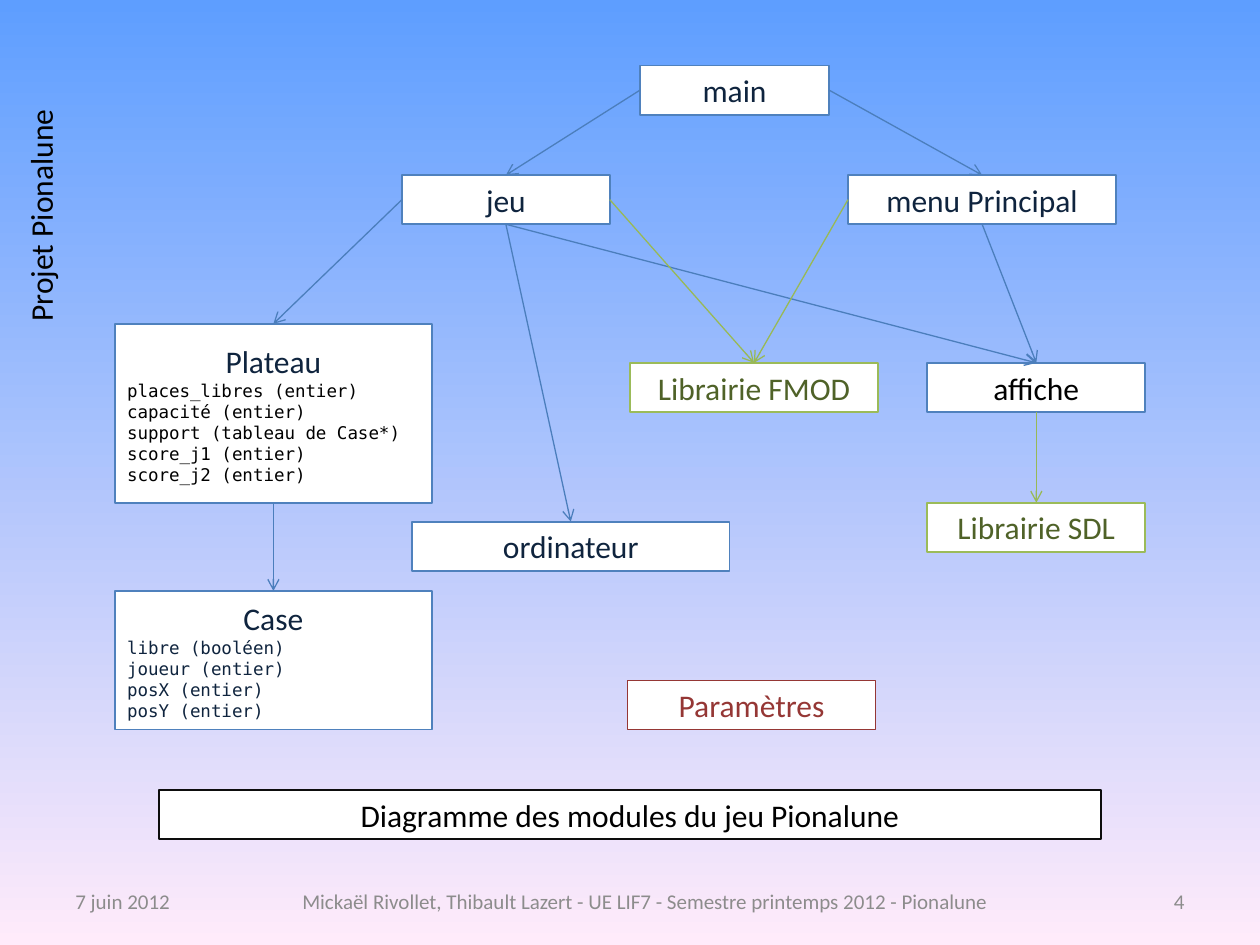
import pptx
import pptx.util
import pptx.dml.color
import pptx.enum.shapes
import pptx.enum.text
import pptx.oxml.ns
import lxml.etree

Inches, Pt = pptx.util.Inches, pptx.util.Pt
RGBColor = pptx.dml.color.RGBColor
PP_ALIGN, MSO_ANCHOR = pptx.enum.text.PP_ALIGN, pptx.enum.text.MSO_ANCHOR
qn = pptx.oxml.ns.qn

SKY = RGBColor(0x5E, 0x9E, 0xFF)
ROSE = RGBColor(0xFF, 0xEB, 0xFA)
WHITE = RGBColor(0xFF, 0xFF, 0xFF)
BLACK = RGBColor(0x00, 0x00, 0x00)
NEAR_BLACK = RGBColor(0x0D, 0x0D, 0x0D)
NAVY = RGBColor(0x0F, 0x24, 0x3E)
BLUE = RGBColor(0x4F, 0x81, 0xBD)
GREEN = RGBColor(0x9B, 0xBB, 0x59)
DARK_GREEN = RGBColor(0x4F, 0x62, 0x28)
RED = RGBColor(0x95, 0x37, 0x35)
CALL_BLUE = RGBColor(0x4B, 0x7E, 0xBC)
LIBRARY_GREEN = RGBColor(0x98, 0xB9, 0x55)
GREY = RGBColor(0x8C, 0x8C, 0x8C)

ROW = 0.39
TOP, LEFT, BOTTOM, RIGHT = range(4)

CAPTION = "Diagramme des modules du jeu Pionalune"
PROJECT = "Projet Pionalune"

MODULES = [
    ("main", 5.08, 0.52, 1.5, ROW, BLUE, NAVY),
    ("menu Principal", 6.73, 1.39, 2.13, ROW, BLUE, NAVY),
    ("jeu", 3.19, 1.39, 1.65, ROW, BLUE, NAVY),
    ("Plateau", 0.91, 2.57, 2.52, 1.42, BLUE, NAVY),
    ("Case", 0.91, 4.69, 2.52, 1.1, BLUE, NAVY),
    ("ordinateur", 3.27, 4.14, 2.52, ROW, BLUE, NAVY),
    ("affiche", 7.36, 2.88, 1.73, ROW, BLUE, BLACK),
    ("Librairie SDL", 7.36, 3.99, 1.73, ROW, GREEN, DARK_GREEN),
    ("Librairie FMOD", 5, 2.88, 1.97, ROW, GREEN, DARK_GREEN),
    ("Paramètres", 4.98, 5.4, 1.97, ROW, RED, RED),
]

FIELDS = {
    "Plateau": (BLACK, [
        "places_libres (entier)",
        "capacité (entier)",
        "support (tableau de Case*)",
        "score_j1 (entier)",
        "score_j2 (entier)",
    ]),
    "Case": (NAVY, [
        "libre (booléen)",
        "joueur (entier)",
        "posX (entier)",
        "posY (entier)",
    ]),
}

CALLS = [
    ("affiche", BOTTOM, "Librairie SDL", LIBRARY_GREEN),
    ("menu Principal", BOTTOM, "affiche", CALL_BLUE),
    ("jeu", BOTTOM, "affiche", CALL_BLUE),
    ("menu Principal", LEFT, "Librairie FMOD", LIBRARY_GREEN),
    ("jeu", RIGHT, "Librairie FMOD", LIBRARY_GREEN),
    ("jeu", LEFT, "Plateau", CALL_BLUE),
    ("Plateau", BOTTOM, "Case", CALL_BLUE),
    ("jeu", BOTTOM, "ordinateur", CALL_BLUE),
    ("main", LEFT, "jeu", CALL_BLUE),
    ("main", RIGHT, "menu Principal", CALL_BLUE),
]

FOOTER = [
    ("7 juin 2012", 0.5, 1.27, PP_ALIGN.LEFT),
    ("Mickaël Rivollet, Thibault Lazert - UE LIF7 - Semestre printemps 2012 - Pionalune",
     2.01, 6.22, PP_ALIGN.CENTER),
    ("4", 8.86, 0.64, PP_ALIGN.RIGHT),
]


def write(paragraph, text, size, color, align, font="Calibri"):
    paragraph.text = text
    paragraph.alignment = align
    for run in paragraph.runs:
        run.font.name = font
        run.font.size = Pt(size)
        run.font.color.rgb = color


def frame_box(box, border):
    box.fill.solid()
    box.fill.fore_color.rgb = WHITE
    box.line.color.rgb = border
    box.line.width = Pt(1)
    box.text_frame.vertical_anchor = MSO_ANCHOR.MIDDLE
    box.text_frame.word_wrap = True


def add_module(slide, name, left, top, width, height, border, color):
    box = slide.shapes.add_shape(
        pptx.enum.shapes.MSO_SHAPE.RECTANGLE,
        Inches(left), Inches(top), Inches(width), Inches(height))
    box.shadow.inherit = False
    frame_box(box, border)
    write(box.text_frame.paragraphs[0], name, 18, color, PP_ALIGN.CENTER)
    field_color, fields = FIELDS.get(name, (color, []))
    for field in fields:
        write(box.text_frame.add_paragraph(), field, 10, field_color,
              PP_ALIGN.LEFT, "DejaVu Sans Mono")
    return box


def add_call(slide, caller, side, called, color):
    arrow = slide.shapes.add_connector(
        pptx.enum.shapes.MSO_CONNECTOR.STRAIGHT, 0, 0, 0, 0)
    arrow.begin_connect(called, TOP)
    arrow.end_connect(caller, side)
    arrow.line.color.rgb = color
    arrow.line.width = Pt(0.75)
    properties = arrow.element.spPr
    lxml.etree.SubElement(properties.find(qn("a:ln")), qn("a:headEnd"), type="arrow")
    lxml.etree.SubElement(properties, qn("a:effectLst"))


def add_label(slide, text, left, top, width, height, size, color, align, anchor):
    label = slide.shapes.add_textbox(
        Inches(left), Inches(top), Inches(width), Inches(height))
    label.text_frame.word_wrap = True
    label.text_frame.vertical_anchor = anchor
    write(label.text_frame.paragraphs[0], text, size, color, align)
    return label


def main():
    deck = pptx.Presentation()
    deck.slide_width, deck.slide_height = Inches(10), Inches(7.5)
    slide = deck.slides.add_slide(deck.slide_layouts[5])

    background = slide.background.fill
    background.gradient()
    background.gradient_angle = 270
    for stop, color in zip(background.gradient_stops, (SKY, ROSE)):
        stop.color.rgb = color

    caption = slide.shapes.title
    caption.left, caption.top = Inches(1.26), Inches(6.27)
    caption.width, caption.height = Inches(7.48), Inches(ROW)
    frame_box(caption, NEAR_BLACK)
    caption.text_frame.auto_size = pptx.enum.text.MSO_AUTO_SIZE.NONE
    write(caption.text_frame.paragraphs[0], CAPTION, 18, BLACK, PP_ALIGN.CENTER)

    project = add_label(slide, PROJECT, 0.12, 0.68, 0.5, 1.97, 18, BLACK,
                        PP_ALIGN.LEFT, MSO_ANCHOR.TOP)
    project.text_frame._txBody.bodyPr.set("vert", "vert270")

    boxes = {module[0]: add_module(slide, *module) for module in MODULES}
    for caller, side, called, color in CALLS:
        add_call(slide, boxes[caller], side, boxes[called], color)

    for text, left, width, align in FOOTER:
        add_label(slide, text, left, 6.95, width, 0.4, 12, GREY, align,
                  MSO_ANCHOR.MIDDLE)

    deck.save("out.pptx")


if __name__ == "__main__":
    main()
